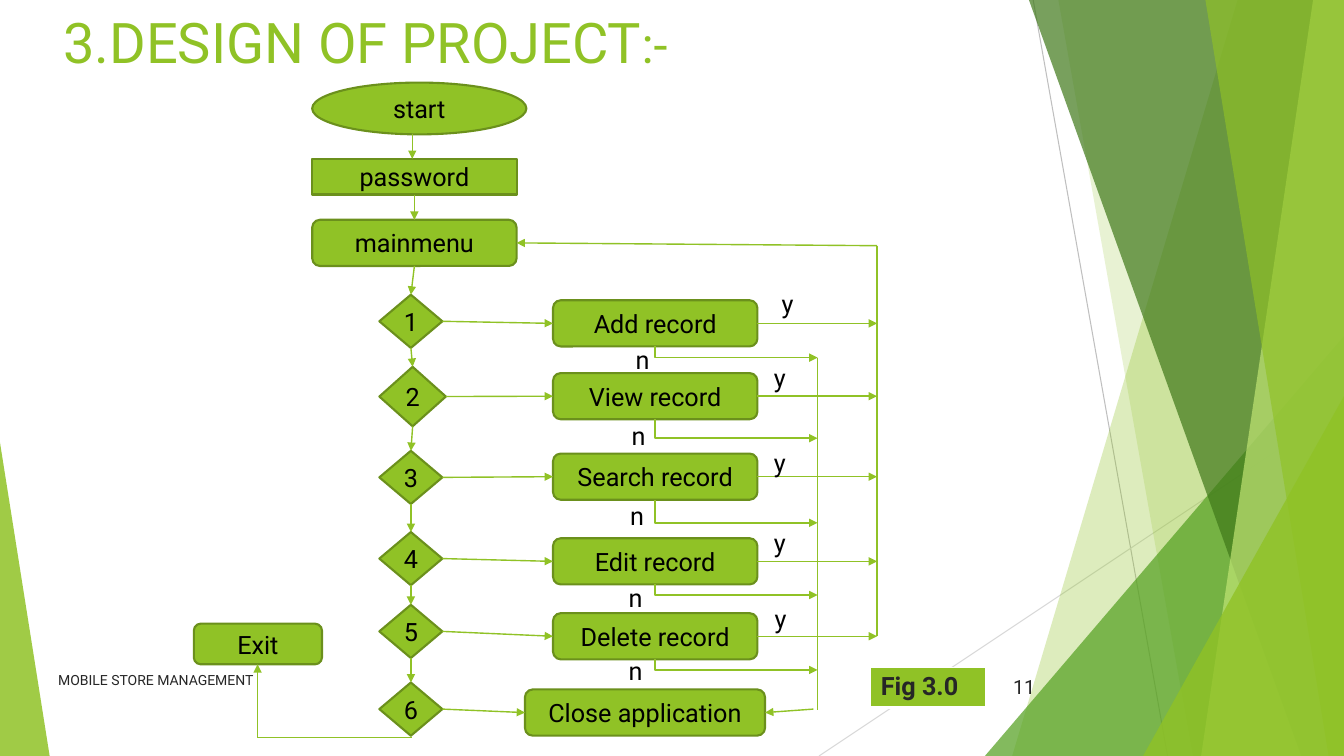
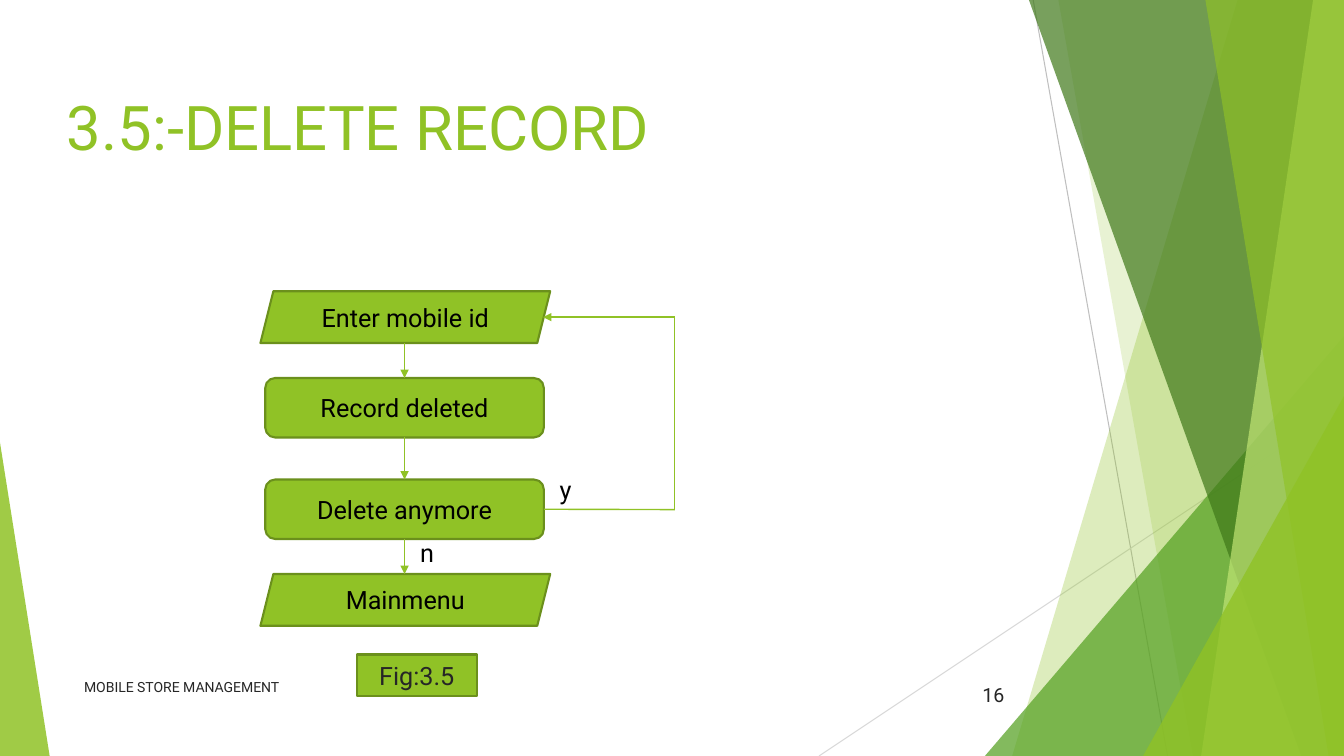
from lxml.etree import SubElement
from pptx import Presentation
from pptx.dml.color import RGBColor
from pptx.enum.shapes import MSO_CONNECTOR, MSO_SHAPE
from pptx.enum.text import MSO_ANCHOR, MSO_AUTO_SIZE, PP_ALIGN
from pptx.oxml.ns import qn
from pptx.shapes.autoshape import Shape
from pptx.util import Pt

FONT = "Roboto"
GREEN = RGBColor(0x90, 0xC2, 0x26)
EDGE = RGBColor(0x6B, 0x90, 0x1C)
MID_GREEN = RGBColor(0x54, 0xA0, 0x21)
DARK_GREEN = RGBColor(0x3F, 0x78, 0x19)
PALE_GREEN = RGBColor(0xC0, 0xE4, 0x74)
GREY = RGBColor(0xBF, 0xBF, 0xBF)
LIGHT_GREY = RGBColor(0xD9, 0xD9, 0xD9)
BLACK = RGBColor(0, 0, 0)
INK = RGBColor(0x26, 0x26, 0x26)
WHITE = RGBColor(0xFF, 0xFF, 0xFF)

BOX_W, BOX_H = 146, 33
YES_X, NO_X = 626.5, 584


def add_run(p, text, size=18, color=BLACK, bold=False):
    r = p.add_run()
    r.text = text
    r.font.name, r.font.size, r.font.bold = FONT, Pt(size), bold
    r.font.color.rgb = color


def add_title(s, x, y, w, h, runs):
    sp = s.shapes.title
    sp.left, sp.top, sp.width, sp.height = Pt(x), Pt(y), Pt(w), Pt(h)
    tf = sp.text_frame
    tf.auto_size = MSO_AUTO_SIZE.NONE
    tf.vertical_anchor = MSO_ANCHOR.TOP
    p = tf.paragraphs[0]
    p.alignment = PP_ALIGN.LEFT
    for text, size in runs:
        add_run(p, text, size, GREEN)


def add_text(s, x, y, w, text, size, color, align, wrap=True):
    tf = s.shapes.add_textbox(Pt(x), Pt(y), Pt(w), Pt(29)).text_frame
    tf.word_wrap = wrap
    tf.vertical_anchor = MSO_ANCHOR.MIDDLE
    p = tf.paragraphs[0]
    p.alignment = align
    add_run(p, text, size, color)


def add_label(s, cx, y, text):
    add_text(s, cx - 12, y, 24, text, 18, BLACK, PP_ALIGN.CENTER, False)


def add_footer(s, x, y, number_x, number_y, number):
    add_text(s, number_x, number_y, 54, number, 14, INK, PP_ALIGN.RIGHT)
    add_text(s, x, y, 496, "MOBILE STORE MANAGEMENT", 10, INK, PP_ALIGN.LEFT)


def add_box(s, kind, x, y, w, h, text, color=BLACK):
    sp = s.shapes.add_shape(kind, Pt(x), Pt(y), Pt(w), Pt(h))
    sp.shadow.inherit = False
    sp.fill.solid()
    sp.fill.fore_color.rgb = GREEN
    sp.line.color.rgb = EDGE
    sp.line.width = Pt(1.5)
    tf = sp.text_frame
    tf.margin_left = tf.margin_right = tf.margin_top = tf.margin_bottom = 0
    tf.vertical_anchor = MSO_ANCHOR.MIDDLE
    p = tf.paragraphs[0]
    p.alignment = PP_ALIGN.CENTER
    add_run(p, text, 18, color)
    return sp


def style_line(c, color, width, arrow):
    c.line.color.rgb = color
    c.line.width = Pt(width)
    if arrow:
        SubElement(c.line._get_or_add_ln(), qn("a:tailEnd"), type="triangle")
    SubElement(c.element.spPr, qn("a:effectLst"))


def add_line(s, start, end, arrow=True, color=GREEN, width=1):
    points = [(0, 0) if isinstance(e[0], Shape) else e for e in (start, end)]
    c = s.shapes.add_connector(MSO_CONNECTOR.STRAIGHT, *[Pt(v) for p in points for v in p])
    if isinstance(start[0], Shape):
        c.begin_connect(*start)
    if isinstance(end[0], Shape):
        c.end_connect(*end)
    style_line(c, color, width, arrow)


def add_down_right(s, x1, y1, x2, y2):
    cx, cy, half_w, half_h = (x1 + x2) / 2, (y1 + y2) / 2, (y2 - y1) / 2, (x2 - x1) / 2
    c = s.shapes.add_connector(MSO_CONNECTOR.ELBOW, Pt(cx - half_w), Pt(cy - half_h),
                               Pt(cx + half_w), Pt(cy + half_h))
    c.element.spPr.find(qn("a:prstGeom")).set("prst", "bentConnector2")
    xfrm = c.element.spPr.find(qn("a:xfrm"))
    xfrm.set("rot", "16200000")
    xfrm.set("flipH", "1")
    style_line(c, GREEN, 1, True)


def add_caption_table(s, x, y, w, h, text):
    table = s.shapes.add_table(1, 1, Pt(x), Pt(y), Pt(w), Pt(h)).table
    table.first_row = table.horz_banding = False
    cell = table.cell(0, 0)
    cell.fill.solid()
    cell.fill.fore_color.rgb = GREEN
    add_run(cell.text_frame.paragraphs[0], text, 18, INK, True)
    tc_pr = cell._tc.get_or_add_tcPr()
    for i, (side, width) in enumerate((("L", 1), ("R", 1), ("T", 1), ("B", 3))):
        ln = SubElement(tc_pr, qn("a:ln" + side), w=str(Pt(width)))
        SubElement(SubElement(ln, qn("a:solidFill")), qn("a:srgbClr"), val=str(WHITE))
        tc_pr.insert(i, ln)


def tint(sp, color, opacity):
    sp.shadow.inherit = False
    sp.fill.solid()
    sp.fill.fore_color.rgb = color
    sp.line.fill.background()
    clr = sp.element.spPr.find(qn("a:solidFill"))[0]
    SubElement(clr, qn("a:alpha"), val=str(opacity * 1000))


def add_band(group, top_x, bottom_x, color, opacity):
    fb = group.shapes.build_freeform(Pt(top_x), 0)
    fb.add_line_segments([(Pt(960), 0), (Pt(960), Pt(540)), (Pt(bottom_x), Pt(540))])
    tint(fb.convert_to_shape(), color, opacity)


def add_wedge(group, x, y, w, apex, color, opacity):
    sp = group.shapes.add_shape(MSO_SHAPE.ISOSCELES_TRIANGLE, Pt(x), Pt(y), Pt(w), Pt(540 - y))
    sp.adjustments[0] = apex
    tint(sp, color, opacity)


def decorate_layout(layout, s):
    group = s.shapes.add_group_shape()
    add_line(group, (738, 0), (834, 540), False, GREY, 0.75)
    add_line(group, (960, 290), (585, 540), False, LIGHT_GREY, 0.75)
    add_band(group, 884, 723, GREEN, 30)
    add_band(group, 756, 852, GREEN, 20)
    add_wedge(group, 703.5, 240, 256.5, 1, MID_GREEN, 72)
    add_band(group, 735, 929.5, DARK_GREEN, 70)
    add_band(group, 938, 858, PALE_GREEN, 70)
    add_band(group, 861, 949, GREEN, 65)
    add_wedge(group, 816.5, 283, 143.5, 1, GREEN, 80)
    add_wedge(group, 0, 316, 35.5, 0, GREEN, 85)
    layout.shapes.element.insert(2, group.element)


def build_design(s):
    add_title(s, 38, 2, 677, 80, [("3.DESIGN OF PROJECT", 40), (":-", 36)])
    add_box(s, MSO_SHAPE.OVAL, 223, 59, 153, 37, "start")
    password = add_box(s, MSO_SHAPE.RECTANGLE, 223, 113.5, BOX_W, 25.5, "password")
    menu = add_box(s, MSO_SHAPE.ROUNDED_RECTANGLE, 223, 157, BOX_W, BOX_H, "mainmenu")
    add_line(s, (294.5, 95.5), (294.5, 113.5))
    add_line(s, (password, 2), (menu, 0))

    rows = [
        ("Add record", 210.5, 214.5, 255.5, (562.5, 202.5), (459, 242)),
        ("View record", 262, 266.5, 313, (557, 255), (456, 296.5)),
        ("Search record", 322, 324, 373.5, (557, 315.5), (455, 354)),
        ("Edit record", 380, 384.5, 425, (557, 373), (454, 412.5)),
        ("Delete record", 432, 438, 478.5, (557.5, 427), (454, 464.5)),
        ("Close application", 487.5, 492.5, None, None, None),
    ]
    previous = menu
    for i, (name, choice_y, y, no_y, yes_label, no_label) in enumerate(rows, 1):
        w, h = (47.5, 42.5) if i == 2 else (45, 38)
        choice = add_box(s, MSO_SHAPE.DIAMOND, 271, choice_y, w, h, str(i))
        x, box_w = (395, BOX_W) if no_y else (375, 171.5)
        box = add_box(s, MSO_SHAPE.ROUNDED_RECTANGLE, x, y, box_w, BOX_H, name)
        add_line(s, (previous, 2), (choice, 0))
        add_line(s, (choice, 3), (box, 1))
        if no_y:
            add_line(s, (box, 3), (YES_X, y + BOX_H / 2))
            add_down_right(s, x + box_w / 2, y + BOX_H, NO_X, no_y)
            add_label(s, *yes_label, "y")
            add_label(s, *no_label, "n")
        previous = choice

    add_line(s, (YES_X, 454.5), (YES_X, 175.5), False)
    add_line(s, (YES_X, 175.5), (menu, 3))
    add_line(s, (NO_X, 255.5), (NO_X, 507.5), False)
    add_line(s, (581, 506.5), (box, 3))
    add_box(s, MSO_SHAPE.ROUNDED_RECTANGLE, 138.5, 445.5, 91.5, 29, "Exit")
    add_line(s, (294, 527), (184, 527), False)
    add_line(s, (184, 527), (184, 474.5))
    add_caption_table(s, 622, 476.5, 82, 28, "Fig 3.0")
    add_footer(s, 34.5, 471, 692.5, 476, "11")


def build_delete(s):
    add_title(s, 40.5, 60, 672.5, 81, [("3.5:-DELETE RECORD", 44)])
    add_box(s, MSO_SHAPE.PARALLELOGRAM, 186, 208, 207, 37, "Enter mobile id")
    deleted, anymore = [
        add_box(s, MSO_SHAPE.ROUNDED_RECTANGLE, 189.5, y, 199, 42.5, text)
        for y, text in ((270, "Record deleted"), (342.5, "Delete anymore"))]
    add_box(s, MSO_SHAPE.PARALLELOGRAM, 186, 410, 207, 37, "Mainmenu")
    add_line(s, (289, 245), (deleted, 0))
    add_line(s, (deleted, 2), (anymore, 0))
    add_line(s, (anymore, 2), (289, 410))
    add_line(s, (anymore, 3), (482, 364), False)
    add_line(s, (482, 364), (482, 226.5), False)
    add_line(s, (482, 226.5), (388, 226.5))
    add_label(s, 404, 335, "y")
    add_label(s, 305, 380, "n")
    add_footer(s, 53, 476, 670.5, 481.5, "16")
    add_box(s, MSO_SHAPE.RECTANGLE, 255, 467.5, 85.5, 29.5, "Fig:3.5", INK)


def main():
    prs = Presentation()
    prs.slide_width, prs.slide_height = Pt(960), Pt(540)
    layout = prs.slide_layouts[5]
    design, delete = [prs.slides.add_slide(layout) for _ in range(2)]
    decorate_layout(layout, design)
    build_design(design)
    build_delete(delete)
    prs.save("out.pptx")


if __name__ == "__main__":
    main()
